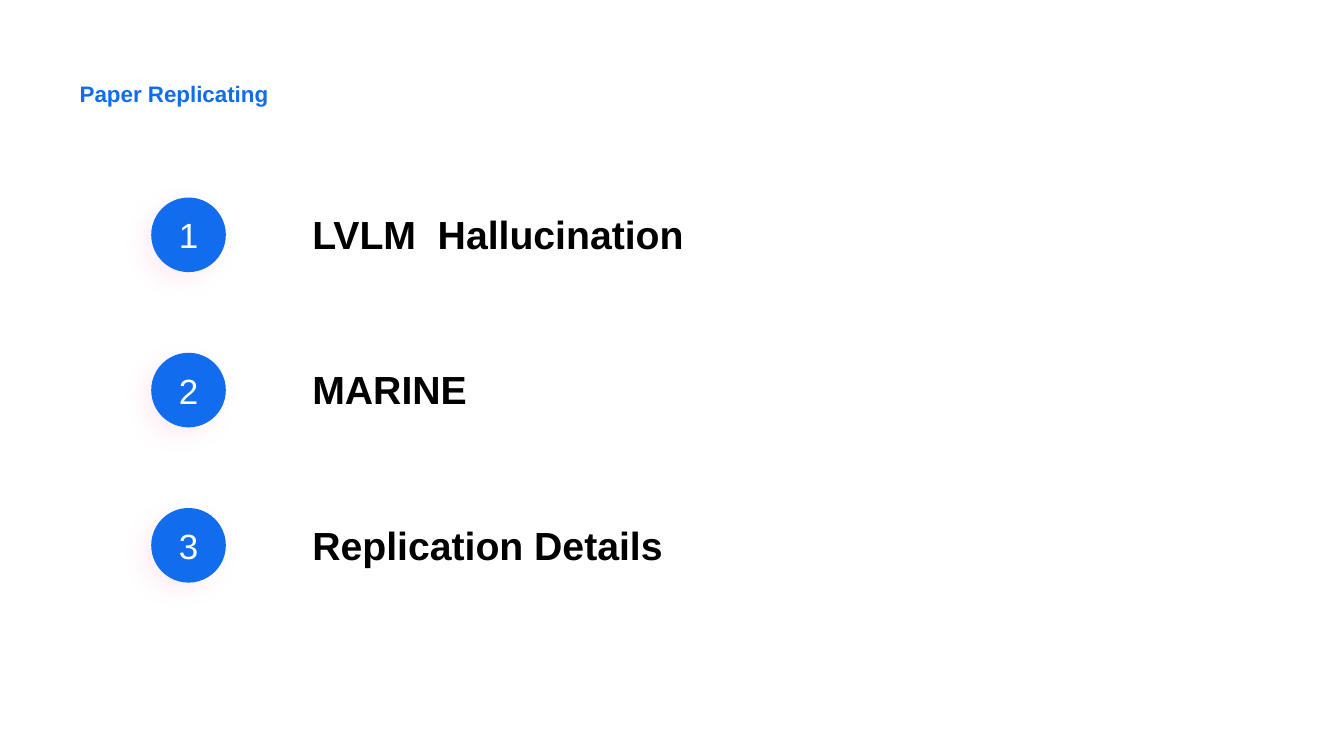
from lxml import etree
from pptx import Presentation
from pptx.dml.color import RGBColor as Rgb
from pptx.enum.shapes import MSO_SHAPE as Shape
from pptx.enum.text import MSO_ANCHOR as Anchor, MSO_AUTO_SIZE as Fit, PP_ALIGN as Align
from pptx.oxml import parse_xml
from pptx.oxml.ns import nsdecls
from pptx.util import Inches, Pt

BLUE, WHITE, BLACK, PINK = "116CEE", "FFFFFF", "000000", "FF5DA9"
TOPICS = ["LVLM  Hallucination", "MARINE", "Replication Details"]
TOP, STEP, SIZE = 1.96, 1.54, 0.74


def color(code):
    return Rgb.from_string(code)


def write(frame, text, size, code, bold=False, align=Align.LEFT):
    frame.text = text
    para = frame.paragraphs[0]
    para.alignment = align
    font = para.font
    font.name, font.size, font.bold = "Arial", Pt(size), bold
    font.color.rgb = color(code)


def inset(frame, gap):
    frame.margin_left = frame.margin_right = Inches(gap)
    frame.margin_top = frame.margin_bottom = Inches(gap)


def glow(shape):
    shape.shadow.inherit = False
    effects = shape._element.spPr.find("{*}effectLst")
    shade = parse_xml(
        f'<a:outerShdw {nsdecls("a")} blurRad="{Pt(16)}" dist="{Pt(8)}" '
        'dir="8100000" algn="tr" rotWithShape="0"/>')
    tint = etree.SubElement(shade, "{%s}srgbClr" % shade.nsmap["a"], val=PINK)
    etree.SubElement(tint, "{%s}alpha" % shade.nsmap["a"], val="10000")
    effects.append(shade)


def add_title(slide, text):
    title = slide.shapes.title
    title.left, title.top = Inches(0.79), Inches(0.76)
    title.width, title.height = Inches(3.94), Inches(0.3)
    frame = title.text_frame
    inset(frame, 0)
    frame.word_wrap = True
    frame.auto_size = Fit.NONE
    frame.vertical_anchor = Anchor.BOTTOM
    write(frame, text, 16, BLUE, bold=True)


def add_badge(slide, top, label):
    badge = slide.shapes.add_shape(
        Shape.FLOWCHART_CONNECTOR, Inches(1.5), Inches(top), Inches(SIZE), Inches(SIZE))
    badge.fill.solid()
    badge.fill.fore_color.rgb = color(BLUE)
    badge.line.fill.background()
    glow(badge)
    frame = badge.text_frame
    frame.vertical_anchor = Anchor.MIDDLE
    write(frame, label, 25, WHITE, align=Align.CENTER)


def add_topic(slide, top, text):
    box = slide.shapes.add_textbox(Inches(3), Inches(top), Inches(4.44), Inches(0.57))
    frame = box.text_frame
    frame.word_wrap = True
    frame.auto_size = Fit.SHAPE_TO_FIT_TEXT
    write(frame, text, 28, BLACK, bold=True)


def main():
    deck = Presentation()
    deck.slide_width, deck.slide_height = Inches(13.33), Inches(7.5)
    slide = deck.slides.add_slide(deck.slide_layouts[5])
    add_title(slide, "Paper Replicating")
    for row, topic in enumerate(TOPICS):
        top = TOP + row * STEP
        add_badge(slide, top, str(row + 1))
        add_topic(slide, top + 0.08, topic)
    deck.save("out.pptx")


if __name__ == "__main__":
    main()
